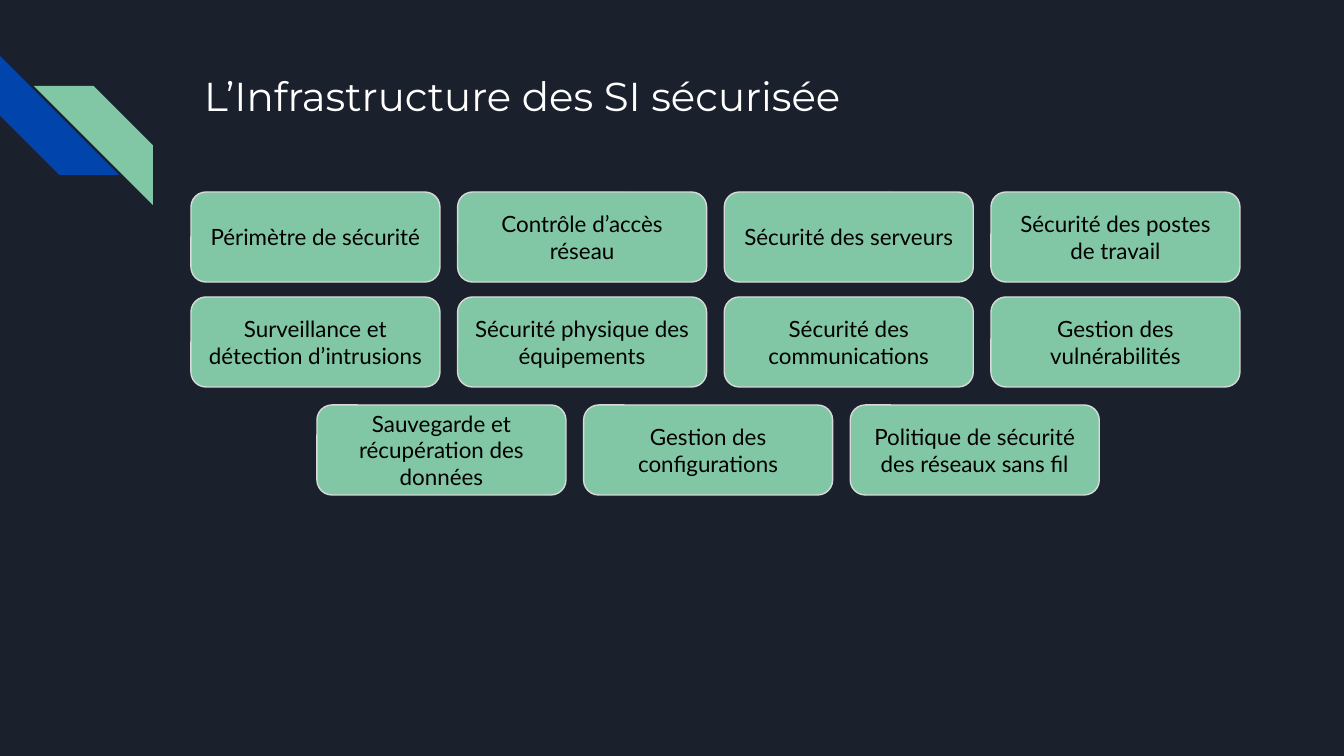
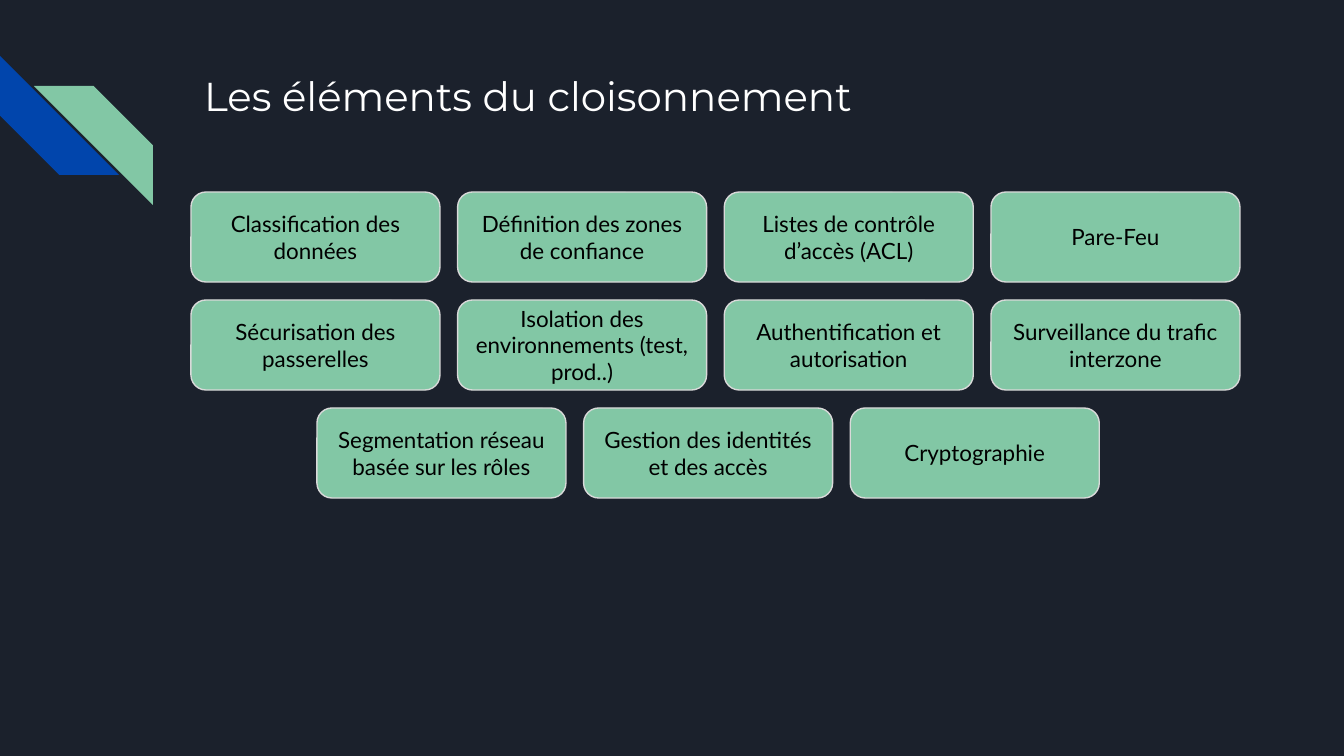
from pptx import Presentation
from pptx.dml.color import RGBColor
from pptx.enum.shapes import MSO_SHAPE
from pptx.enum.text import MSO_ANCHOR, MSO_AUTO_SIZE, PP_ALIGN
from pptx.util import Pt

STRIPE, CARD = MSO_SHAPE.DIAGONAL_STRIPE, MSO_SHAPE.ROUNDED_RECTANGLE
TOP, MIDDLE = MSO_ANCHOR.TOP, MSO_ANCHOR.MIDDLE
LEFT, CENTER = PP_ALIGN.LEFT, PP_ALIGN.CENTER
NO_FIT = MSO_AUTO_SIZE.NONE

SCALE = 914400 / 134.4  # EMU per px
WIDE, HIGH = 1344, 756
HEX = {"night": "1B212C", "blue": "0145AC", "mint": "82C7A5",
       "edge": "D9D9D9", "white": "FFFFFF", "black": "000000"}
HEAD = {"name": "Montserrat", "size": Pt(21.6)}
LABEL = {"name": "Lato", "size": Pt(12)}

TITLE_BOX = (191, 58, 1035, 134)
GRID = (191, 1049)  # left, width
COLS, CARD_W, CARD_H = 4, 249, 90
SHIFT = 126  # indent of the short last row
INSET = 13

SLIDES = [
    ("L’Infrastructure des SI sécurisée", {
        192: ["Périmètre de sécurité", "Contrôle d’accès réseau",
              "Sécurité des serveurs", "Sécurité des postes de travail"],
        297: ["Surveillance et détection d’intrusions",
              "Sécurité physique des équipements",
              "Sécurité des communications", "Gestion des vulnérabilités"],
        405: ["Sauvegarde et récupération des données",
              "Gestion des configurations",
              "Politique de sécurité des réseaux sans fil"],
    }),
    ("Les éléments du cloisonnement", {
        192: ["Classification des données", "Définition des zones de confiance",
              "Listes de contrôle d’accès (ACL)", "Pare-Feu"],
        300: ["Sécurisation des passerelles",
              "Isolation des environnements (test, prod..)",
              "Authentification et autorisation",
              "Surveillance du trafic interzone"],
        408: ["Segmentation réseau basée sur les rôles",
              "Gestion des identités et des accès", "Cryptographie"],
    }),
]


def px(n):
    return round(n * SCALE)


def color(name):
    return RGBColor.from_string(HEX[name])


def put(obj, values):
    for key, value in values.items():
        setattr(obj, key, value)


def write(shape, text, font, ink, align, anchor):
    frame = shape.text_frame
    frame.text = text
    sides = ("left", "top", "right", "bottom")
    put(frame, {f"margin_{side}": px(INSET) for side in sides})
    put(frame, {"word_wrap": True, "auto_size": NO_FIT,
                "vertical_anchor": anchor})
    para = frame.paragraphs[0]
    para.alignment = align
    put(para.font, font)
    para.font.color.rgb = color(ink)


def draw(slide, kind, box, fill):
    shape = slide.shapes.add_shape(kind, *map(px, box))
    shape.shadow.inherit = False
    shape.fill.solid()
    shape.fill.fore_color.rgb = color(fill)
    return shape


def add_theme(deck, layout, slide):
    """Give the master its background and the layout its corner stripes."""
    back = deck.slide_master.background.fill
    back.solid()
    back.fore_color.rgb = color("night")
    for holder in list(layout.placeholders)[1:]:
        layout.shapes.element.remove(holder.element)
    size = 119
    low = draw(slide, STRIPE, (0, 56, size, size), "blue")
    low.rotation = 270
    high = draw(slide, STRIPE, (34, 86, size, size), "mint")
    high.element.spPr.xfrm.set("flipH", "1")
    for stripe in (low, high):
        stripe.line.fill.background()
        layout.shapes.element.append(stripe.element)


def add_title(slide, text, box):
    title = slide.shapes.title
    put(title, dict(zip(("left", "top", "width", "height"), map(px, box))))
    write(title, text, HEAD, "white", LEFT, TOP)


def add_row(slide, labels, top, box):
    left, width = box
    step = (width - CARD_W) / (COLS - 1)
    start = left if len(labels) == COLS else left + SHIFT
    for col, label in enumerate(labels):
        card = draw(slide, CARD, (start + col * step, top, CARD_W, CARD_H), "mint")
        card.line.color.rgb = color("edge")
        card.line.width = Pt(0.75)
        write(card, label, LABEL, "black", CENTER, MIDDLE)


def main():
    deck = Presentation()
    deck.slide_width, deck.slide_height = px(WIDE), px(HIGH)
    layout = deck.slide_layouts[5]
    for num, (title, rows) in enumerate(SLIDES):
        slide = deck.slides.add_slide(layout)
        if num == 0:
            add_theme(deck, layout, slide)
        add_title(slide, title, TITLE_BOX)
        for top, labels in rows.items():
            add_row(slide, labels, top, GRID)
    deck.save("out.pptx")


if __name__ == "__main__":
    main()
